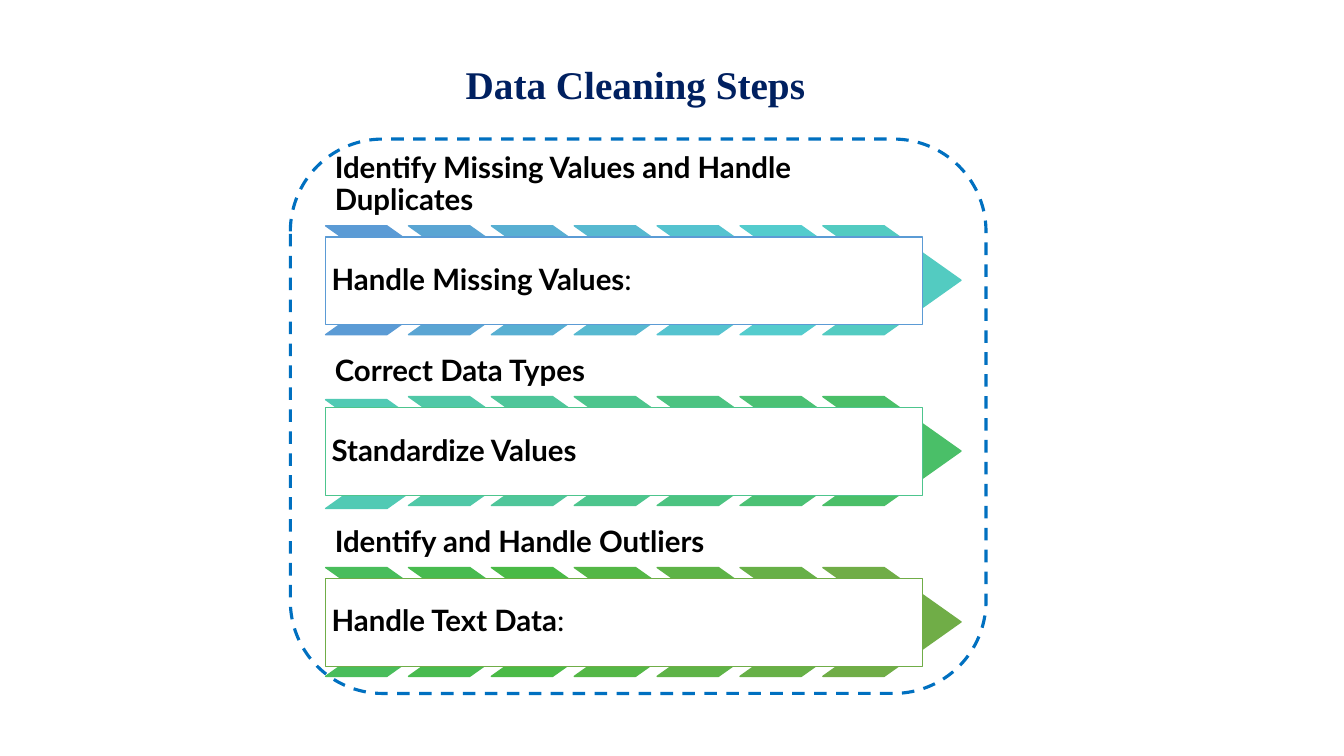
"""Build the Data Cleaning Steps slide: three chevron bands in a dashed frame."""
import pptx
import pptx.util
from pptx.dml.color import RGBColor
from pptx.enum.dml import MSO_LINE
from pptx.enum.shapes import MSO_SHAPE
from pptx.enum.text import MSO_ANCHOR
from pptx.util import Inches

NAVY = RGBColor(0x00, 0x20, 0x60)
BLUE = RGBColor(0x00, 0x70, 0xC0)
BLACK = RGBColor(0x00, 0x00, 0x00)
WHITE = RGBColor(0xFF, 0xFF, 0xFF)
SHADES = [[RGBColor.from_string(code) for code in row.split()] for row in (
    "5B9BD5 5AA5D3 58AFD2 57B9D0 55C3CF 54CCCD 53CBC1",
    "51CAB4 50C8A7 4FC69A 4DC58D 4CC381 4BC174 4ABF68",
    "49BD5B 48BB4F 4ABA46 54B746 5EB347 67B047 70AD47",
)]

deck = pptx.Presentation()
deck.slide_width, deck.slide_height = Inches(13.33), Inches(7.5)
slide = deck.slides.add_slide(deck.slide_layouts[6])


def add_form(kind, left, top, width, height, fill, line, weight=1):
    form = slide.shapes.add_shape(
        kind, Inches(left), Inches(top), Inches(width), Inches(height))
    form.shadow.inherit = False
    if fill is None:
        form.fill.background()
    else:
        form.fill.solid()
        form.fill.fore_color.rgb = fill
    form.line.color.rgb = line
    form.line.width = pptx.util.Pt(weight)
    return form


def put_text(form, text, tail="", font="Lato", size=21, color=BLACK,
             anchor=MSO_ANCHOR.MIDDLE, inset=0.06, pitch=0.9):
    frame = form.text_frame
    frame.word_wrap = True
    frame.vertical_anchor = anchor
    frame.margin_left = frame.margin_right = Inches(inset)
    frame.margin_top = frame.margin_bottom = Inches(inset)
    para = frame.paragraphs[0]
    para.alignment = pptx.enum.text.PP_ALIGN.LEFT
    para.line_spacing = pitch
    for words, bold in ((text, True), (tail, False)):
        if words:
            run = para.add_run()
            run.text = words
            run.font.name = font
            run.font.size = pptx.util.Pt(size)
            run.font.bold = bold
            run.font.color.rgb = color


title = slide.shapes.add_textbox(Inches(4.52), Inches(0.5), Inches(3.71), Inches(0.57))
put_text(title, "Data Cleaning Steps", font="Times New Roman", size=28,
         color=NAVY, anchor=MSO_ANCHOR.TOP, inset=0.1, pitch=1.0)

LEFT = 3.23
STEP = 0.822
bands = [
    ("Identify Missing Values and Handle Duplicates", "Handle Missing Values", ":", 0, 0),
    ("Correct Data Types", "Standardize Values", "", 3, 0.03),
    ("Identify and Handle Outliers", "Handle Text Data", ":", 6, 0),
]
for row, (head, label, tail, edge, drop) in enumerate(bands):
    top = 1.71 + 1.695 * row
    box = slide.shapes.add_textbox(Inches(LEFT), Inches(top), Inches(5.85), Inches(0.53))
    put_text(box, head, anchor=MSO_ANCHOR.BOTTOM, inset=0.09)
    for col, shade in enumerate(SHADES[row]):
        shift = drop if col == 0 else 0
        arrow = add_form(MSO_SHAPE.CHEVRON, LEFT + STEP * col, top + 0.53 + shift,
                         1.37, 1.08, shade, shade)
        arrow.adjustments[0] = 0.706
    bar = add_form(MSO_SHAPE.RECTANGLE, LEFT, top + 0.64, 5.92, 0.87,
                   WHITE, SHADES[row][edge])
    put_text(bar, label, tail)

border = add_form(MSO_SHAPE.ROUNDED_RECTANGLE, 2.88, 1.38, 6.9, 5.5, None, BLUE, 2.25)
border.line.dash_style = MSO_LINE.DASH

deck.save("out.pptx")
